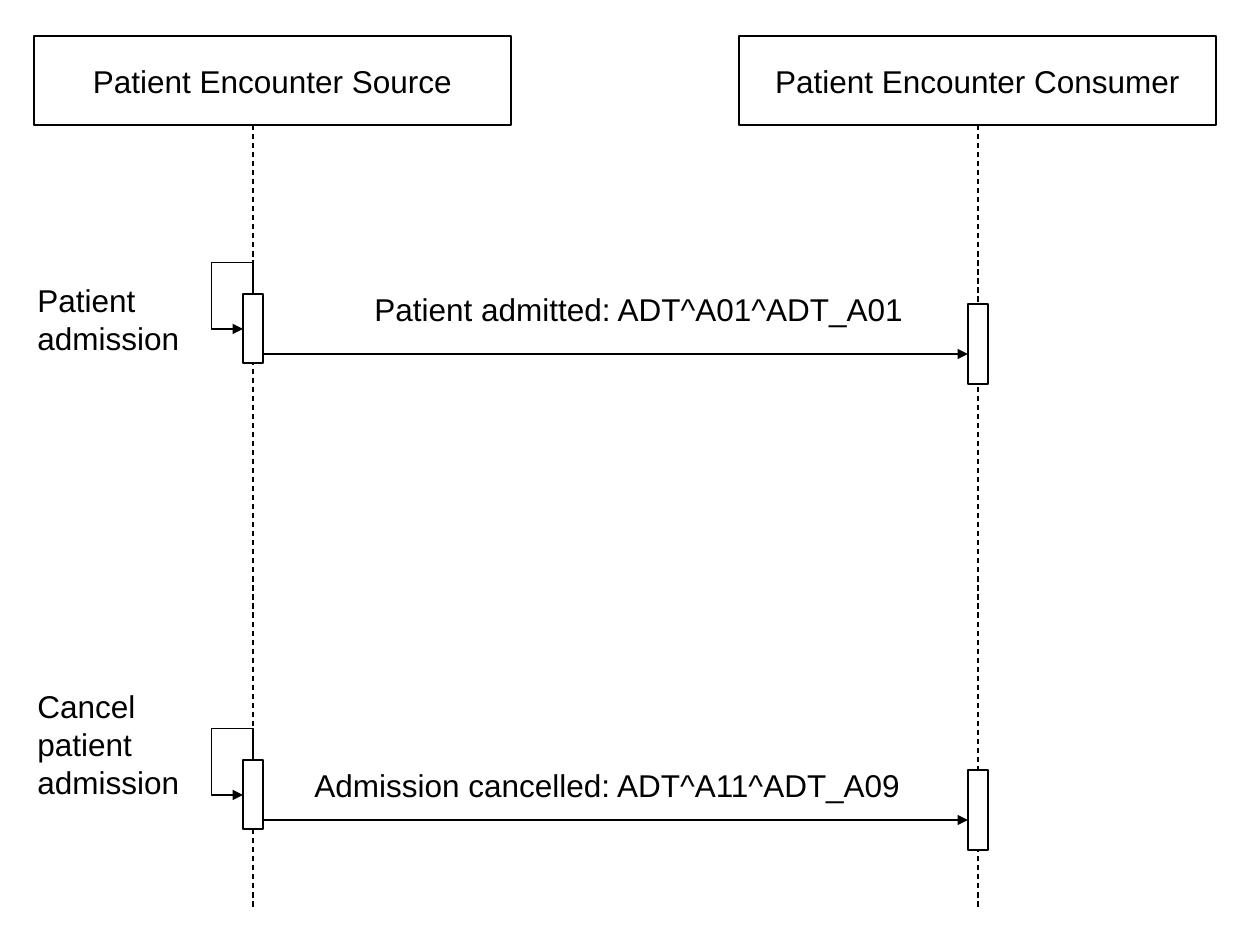
from dataclasses import dataclass

import pptx
import pptx.dml.color
import pptx.enum.dml
import pptx.enum.shapes
import pptx.enum.text
import pptx.oxml
import pptx.oxml.ns
import pptx.util

EMU_PER_PX = 914400 / 126


@dataclass(frozen=True)
class Theme:
    ink: pptx.dml.color.RGBColor = pptx.dml.color.RGBColor(0, 0, 0)
    paper: pptx.dml.color.RGBColor = pptx.dml.color.RGBColor(255, 255, 255)
    font: str = "Arial"
    text_size: pptx.util.Length = pptx.util.Pt(18)
    line_width: pptx.util.Length = pptx.util.Pt(0.75)


THEME = Theme()
CONNECTOR = pptx.enum.shapes.MSO_CONNECTOR


def px(*lengths):
    return [round(length * EMU_PER_PX) for length in lengths]


def write(shape, text, alignment):
    paragraph = shape.text_frame.paragraphs[0]
    paragraph.text = text
    paragraph.alignment = alignment
    paragraph.font.name = THEME.font
    paragraph.font.size = THEME.text_size
    paragraph.font.color.rgb = THEME.ink


def add_box(slide, left, top, width, height):
    box = slide.shapes.add_shape(
        pptx.enum.shapes.MSO_SHAPE.RECTANGLE, *px(left, top, width, height))
    box.shadow.inherit = False
    box.fill.solid()
    box.fill.fore_color.rgb = THEME.paper
    box.line.color.rgb = THEME.ink
    box.line.width = THEME.line_width
    return box


def add_label(slide, text, left, top, width, height):
    label = slide.shapes.add_textbox(*px(left, top, width, height))
    label.text_frame.word_wrap = True
    write(label, text, pptx.enum.text.PP_ALIGN.LEFT)


def add_line(slide, kind, start_x, start_y, end_x, end_y, arrow=False):
    line = slide.shapes.add_connector(kind, *px(start_x, start_y, end_x, end_y))
    line.line.color.rgb = THEME.ink
    line.line.width = THEME.line_width
    if arrow:
        tail = pptx.oxml.parse_xml(
            f'<a:tailEnd {pptx.oxml.ns.nsdecls("a")} type="triangle"/>')
        line.line._get_or_add_ln().append(tail)
    line._element.spPr.append(
        pptx.oxml.parse_xml(f'<a:effectLst {pptx.oxml.ns.nsdecls("a")}/>'))
    return line


def add_self_call(slide, left, top, width, height):
    """Loop up from the right end of the box's top, out left, and back in."""
    loop = add_line(slide, CONNECTOR.ELBOW, left + width, top + height, left, top, True)
    properties = loop._element.spPr
    properties.find(pptx.oxml.ns.qn("a:xfrm")).set("rot", str(270 * 60000))
    geometry = properties.find(pptx.oxml.ns.qn("a:prstGeom"))
    geometry.set("prst", "bentConnector4")
    guides = geometry.find(pptx.oxml.ns.qn("a:avLst"))
    for name, value in (("adj1", -90600), ("adj2", 413000)):
        guides.append(pptx.oxml.parse_xml(
            f'<a:gd {pptx.oxml.ns.nsdecls("a")} name="{name}" fmla="val {value}"/>'))


def add_participant(slide, name, left, top, width, height, lifeline_x, lifeline_end):
    box = add_box(slide, left, top, width, height)
    box.text_frame.word_wrap = False
    box.text_frame.vertical_anchor = pptx.enum.text.MSO_ANCHOR.MIDDLE
    write(box, name, pptx.enum.text.PP_ALIGN.CENTER)
    lifeline = add_line(slide, CONNECTOR.STRAIGHT,
                        lifeline_x, top + height, lifeline_x, lifeline_end)
    lifeline.line.dash_style = pptx.enum.dml.MSO_LINE.DASH


def add_exchange(slide, source_x, consumer_x, top):
    """Activation bars, message arrow and self-call; top is the source bar's top."""
    bar_width = 20
    half = bar_width // 2
    add_box(slide, source_x - half, top, bar_width, 69)
    add_box(slide, consumer_x - half, top + 10, bar_width, 80)
    add_line(slide, CONNECTOR.STRAIGHT, source_x + half, top + 60,
             consumer_x - half, top + 60, arrow=True)
    # The loop is turned by 270 degrees about its centre.
    length, depth = 35, half
    add_self_call(slide, source_x - (depth + length) / 2,
                  top + (length - depth) / 2, length, depth)


def main():
    presentation = pptx.Presentation()
    presentation.slide_width, presentation.slide_height = px(1260, 945)
    slide = presentation.slides.add_slide(presentation.slide_layouts[6])

    source_x, consumer_x = 253, 978
    for name, left, lifeline_x in (
        ("Patient Encounter Source", 34, source_x),
        ("Patient Encounter Consumer", 739, consumer_x),
    ):
        add_participant(slide, name, left, 36, 477, 89, lifeline_x, 909)

    for top in (294, 760):
        add_exchange(slide, source_x, consumer_x, top)

    for text, *box in (
        ("Patient admission", 25, 275, 179, 88),
        ("Cancel patient admission", 25, 681, 179, 126),
        ("Patient admitted: ADT^A01^ADT_A01", 362, 284, 556, 50),
        ("Admission cancelled: ADT^A11^ADT_A09", 302, 760, 615, 50),
    ):
        add_label(slide, text, *box)

    presentation.save("out.pptx")


if __name__ == "__main__":
    main()
